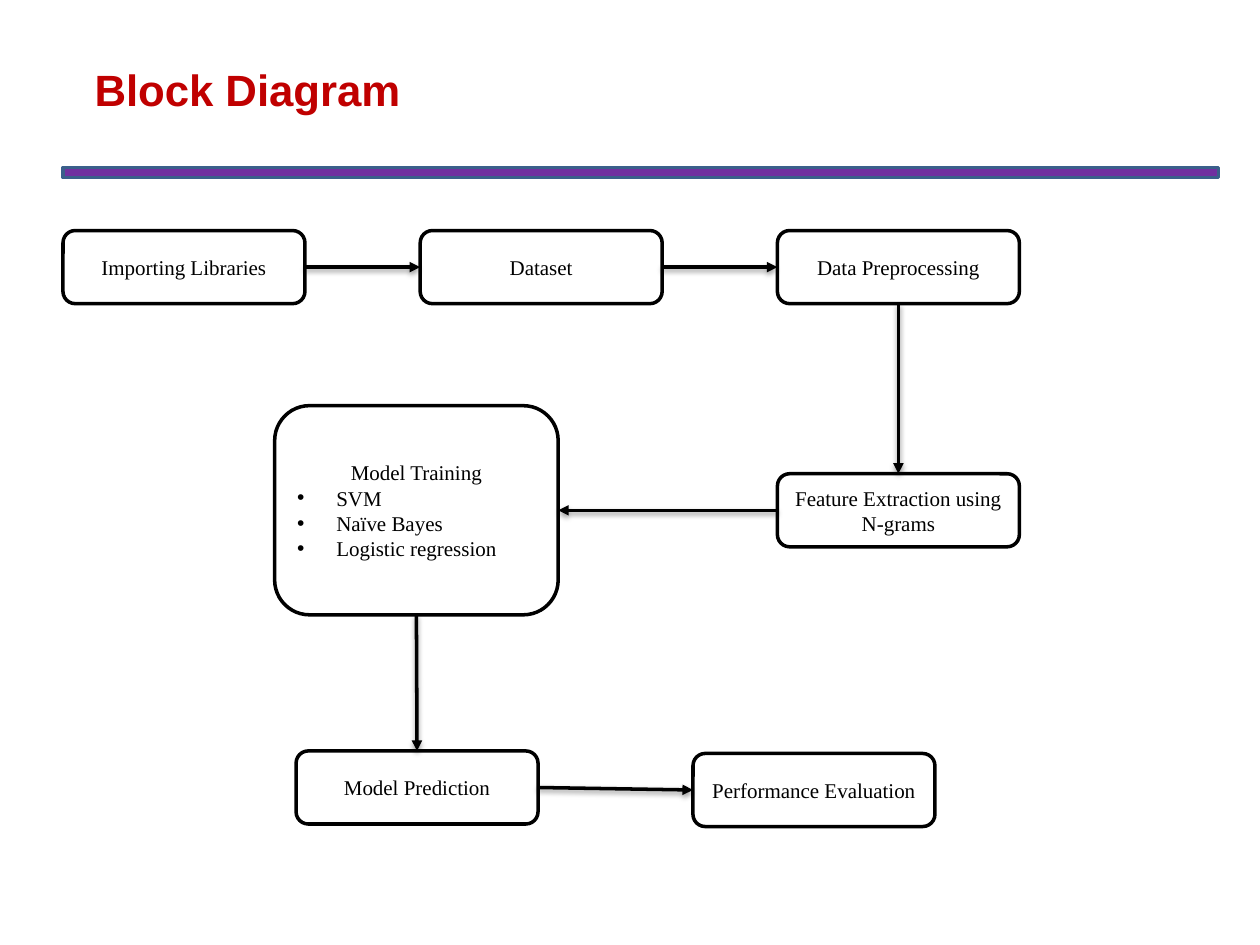
from lxml import etree
from pptx import Presentation
from pptx import util as u
from pptx.dml.color import RGBColor
from pptx.enum import shapes, text
from pptx.oxml import ns

BLACK, WHITE = "000000", "FFFFFF"
SERIF = "Times New Roman"
BOX_WIDTH, BOX_HEIGHT = 1.92, 0.58
LEFT, STEP, TOP_ROW = 0.5, 2.835, 1.83
COLUMNS = [LEFT + STEP * i for i in range(3)]
TOP, LEFT_SIDE, BOTTOM, RIGHT_SIDE = range(4)  # connection sites

# name: (left, top, width, height, heading, bullet items)
STEPS = {
    "import": (COLUMNS[0], TOP_ROW, BOX_WIDTH, BOX_HEIGHT, "Importing Libraries", []),
    "dataset": (COLUMNS[1], TOP_ROW, BOX_WIDTH, BOX_HEIGHT, "Dataset", []),
    "preprocess": (COLUMNS[2], TOP_ROW, BOX_WIDTH, BOX_HEIGHT, "Data Preprocessing", []),
    "features": (COLUMNS[2], 3.76, BOX_WIDTH, BOX_HEIGHT,
                 "Feature Extraction using N-grams", []),
    "predict": (2.35, 5.96, BOX_WIDTH, BOX_HEIGHT, "Model Prediction", []),
    "train": (2.18, 3.22, 2.25, 1.66, "Model Training",
              ["SVM", "Naïve Bayes", "Logistic regression"]),
    "evaluate": (5.5, 5.98, BOX_WIDTH, BOX_HEIGHT, "Performance Evaluation", []),
}
FLOW = [
    ("import", RIGHT_SIDE, "dataset", LEFT_SIDE),
    ("dataset", RIGHT_SIDE, "preprocess", LEFT_SIDE),
    ("preprocess", BOTTOM, "features", TOP),
    ("features", LEFT_SIDE, "train", RIGHT_SIDE),
    ("train", BOTTOM, "predict", TOP),
    ("predict", RIGHT_SIDE, "evaluate", LEFT_SIDE),
]


def color(hex_string):
    return RGBColor.from_string(hex_string)


def add_child(parent, tag, **attributes):
    child = etree.SubElement(parent, ns.qn(tag))
    for name, value in attributes.items():
        child.set(name, str(value))
    return child


def set_font(font, name, size, hex_string, bold=False):
    font.name, font.size, font.bold = name, u.Pt(size), bold
    font.color.rgb = color(hex_string)


def set_title(page, wording):
    title = page.shapes.title
    title.left, title.top = u.Inches(0.75), u.Inches(0.5)
    title.width, title.height = u.Inches(8.5), u.Inches(0.92)
    frame = title.text_frame
    frame.text = wording
    frame.vertical_anchor = text.MSO_ANCHOR.TOP
    frame.margin_left = frame.margin_right = frame.margin_top = frame.margin_bottom = 0
    para = frame.paragraphs[0]
    para.alignment = text.PP_ALIGN.LEFT
    set_font(para.font, "Arial", 25, "C00000", bold=True)


def add_box(page, kind, left, top, width, height, fill, line):
    box = page.shapes.add_shape(kind, *map(u.Inches, (left, top, width, height)))
    box.shadow.inherit = False
    box.fill.solid()
    box.fill.fore_color.rgb = color(fill)
    box.line.color.rgb = color(line)
    box.line.width = u.Pt(2)
    return box


def make_bullet(para):
    indent = u.Inches(0.31)
    properties = para._p.get_or_add_pPr()
    properties.set("marL", str(indent))
    properties.set("indent", str(-indent))
    add_child(properties, "a:buFont", typeface="Arial")
    add_child(properties, "a:buChar", char="•")


def add_step(page, left, top, width, height, heading, items):
    box = add_box(page, shapes.MSO_SHAPE.ROUNDED_RECTANGLE,
                  left, top, width, height, WHITE, BLACK)
    frame = box.text_frame
    frame.word_wrap = True
    frame.vertical_anchor = text.MSO_ANCHOR.MIDDLE
    frame.text = "\n".join([heading, *items])
    for index, para in enumerate(frame.paragraphs):
        para.alignment = text.PP_ALIGN.LEFT if index else text.PP_ALIGN.CENTER
        if index:
            make_bullet(para)
        set_font(para.font, SERIF, 12, BLACK)
    return box


def add_arrow(page, source, source_site, target, target_site):
    arrow = page.shapes.add_connector(shapes.MSO_CONNECTOR.STRAIGHT, 0, 0, 0, 0)
    arrow.begin_connect(source, source_site)
    arrow.end_connect(target, target_site)
    arrow.line.color.rgb = color(BLACK)
    arrow.line.width = u.Pt(2)
    add_child(arrow.line._get_or_add_ln(), "a:tailEnd", type="triangle")
    # Soft shadow straight below the line
    effects = add_child(arrow._element.spPr, "a:effectLst")
    shadow = add_child(effects, "a:outerShdw", blurRad=u.Pt(3.1), dist=u.Pt(1.6),
                       dir=90 * 60000, rotWithShape=0)
    add_child(add_child(shadow, "a:srgbClr", val=BLACK), "a:alpha", val=38000)


def main():
    deck = Presentation()
    deck.slide_width, deck.slide_height = u.Inches(10), u.Inches(7.5)
    page = deck.slides.add_slide(deck.slide_layouts[5])

    # Title and the bar below it
    set_title(page, "Block Diagram")
    add_box(page, shapes.MSO_SHAPE.RECTANGLE, LEFT, 1.33, 9.17, 0.08, "7030A0", "3A5F8B")

    # Steps and the arrows between them
    boxes = {name: add_step(page, *step) for name, step in STEPS.items()}
    for source, source_site, target, target_site in FLOW:
        add_arrow(page, boxes[source], source_site, boxes[target], target_site)

    deck.save("out.pptx")


if __name__ == "__main__":
    main()
